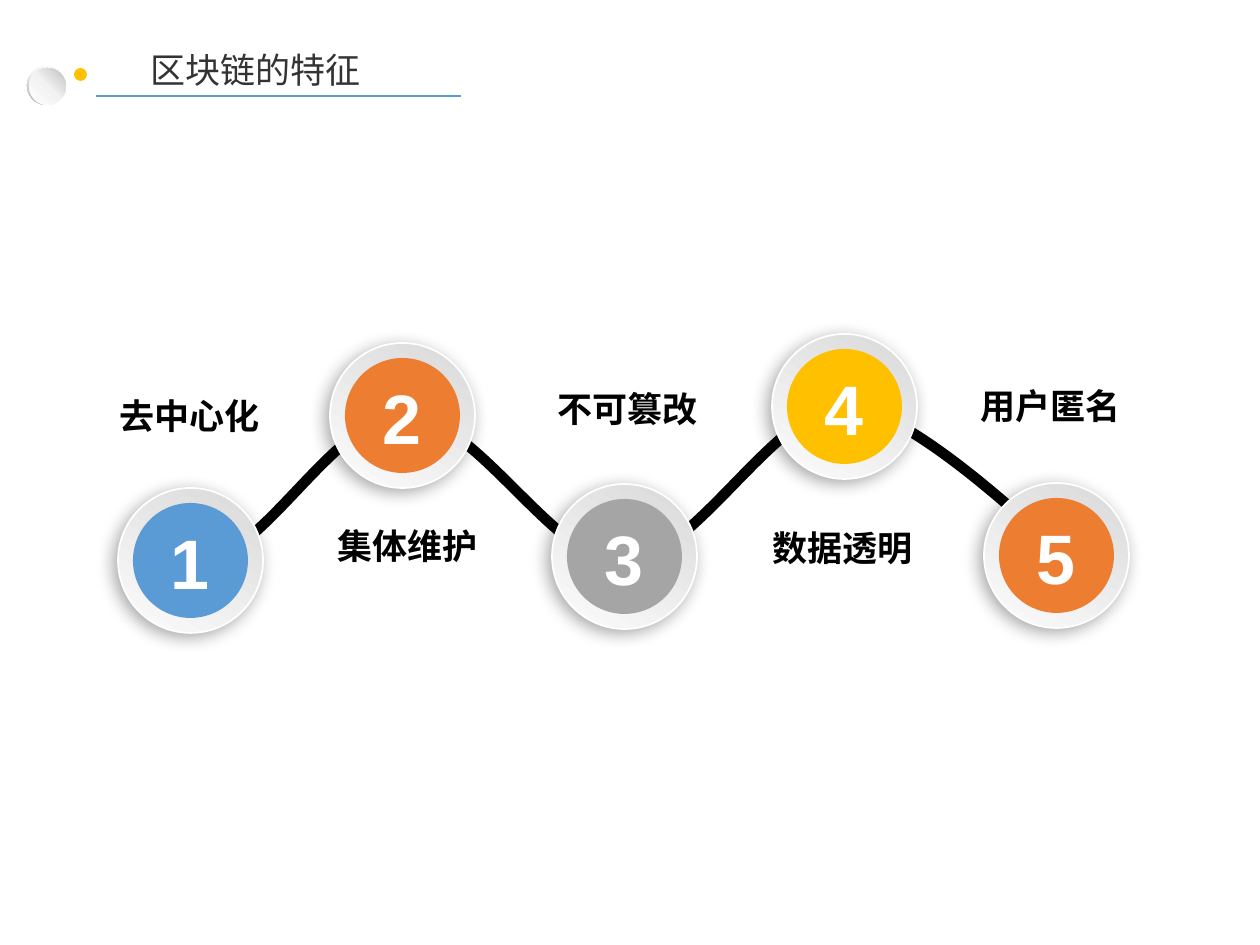
from lxml import etree
from pptx import Presentation
from pptx import util as u
from pptx.dml.color import RGBColor
from pptx.enum import shapes, text
from pptx.oxml.ns import qn

PX = 914400 / 126
BLACK = RGBColor(0x00, 0x00, 0x00)
WHITE = RGBColor(0xFF, 0xFF, 0xFF)
BLUE = RGBColor(0x5B, 0x9B, 0xD5)
ORANGE = RGBColor(0xED, 0x7D, 0x31)
GRAY = RGBColor(0xA5, 0xA5, 0xA5)
GOLD = RGBColor(0xFF, 0xC0, 0x00)
CHARCOAL = RGBColor(0x33, 0x33, 0x33)
SILVER = RGBColor(0xD9, 0xD9, 0xD9)
PEARL = RGBColor(0xFC, 0xFC, 0xFC)
MIST = RGBColor(0xF2, 0xF2, 0xF2)
STEEL = RGBColor(0xA6, 0xA6, 0xA6)
ASH = RGBColor(0xBF, 0xBF, 0xBF)

CJK = "Noto Sans CJK SC"
TITLE_FONT = dict(size=u.Pt(20), name=CJK, bold=False)
LABEL_FONT = dict(size=u.Pt(20), name="Arial", bold=True)
NUMBER_FONT = dict(size=u.Pt(40), name="Arial", bold=True)

DISC, CORE = 145, 115
LABEL_WIDTH, LABEL_HEIGHT = 247, 55
FEATURES = [
    ("去中心化", BLUE, (118, 488), (66, 388)),
    ("集体维护", ORANGE, (330, 343), (284, 518)),
    ("不可篡改", GRAY, (552, 484), (504, 381)),
    ("数据透明", GOLD, (772, 334), (719, 520)),
    ("用户匿名", ORANGE, (984, 483), (927, 378)),
]
WAVE = [(197, 562), (262, 562), (334, 415), (404, 415),
        (475, 415), (554, 562), (622, 563),
        (694, 561), (774, 408), (844, 406),
        (912, 406), (1060, 554), (1060, 552)]


def px(*lengths):
    return [u.Emu(round(length * PX)) for length in lengths]


def write(box, words, font, color, wrap=True):
    frame = box.text_frame
    frame.word_wrap = wrap
    frame.auto_size = text.MSO_AUTO_SIZE.SHAPE_TO_FIT_TEXT
    frame.vertical_anchor = text.MSO_ANCHOR.TOP
    paragraph = frame.paragraphs[0]
    paragraph.alignment = text.PP_ALIGN.CENTER
    run = paragraph.add_run()
    run.text = words
    for key, value in font.items():
        setattr(run.font, key, value)
    run.font.color.rgb = color
    east_asian = etree.SubElement(run.font._element, qn("a:ea"))
    east_asian.set("typeface", CJK)


def gradient(fill, holder, stops, angle):
    fill.gradient()
    blend = holder.find(qn("a:gradFill"))
    for old in list(blend):
        blend.remove(old)
    stop_list = etree.SubElement(blend, qn("a:gsLst"))
    for position, color in stops:
        stop = etree.SubElement(stop_list, qn("a:gs"), pos=str(position * 1000))
        etree.SubElement(stop, qn("a:srgbClr"), val=str(color))
    etree.SubElement(blend, qn("a:lin"), ang=str(angle * 60000), scaled="0")


def add_round(parent, area, color=None, stops=None, angle=0,
              kind=shapes.MSO_SHAPE.OVAL):
    item = parent.add_shape(kind, *px(*area))
    item.shadow.inherit = False
    item.line.fill.background()
    if stops:
        gradient(item.fill, item._element.spPr, stops, angle)
    else:
        item.fill.solid()
        item.fill.fore_color.rgb = color
    return item


def drop_shadow(item):
    effects = item._element.spPr.find(qn("a:effectLst"))
    shadow = etree.SubElement(
        effects, qn("a:outerShdw"), blurRad=str(int(u.Pt(10))),
        dist=str(int(u.Pt(3))), dir=str(136 * 60000), algn="ctr",
        rotWithShape="0")
    tone = etree.SubElement(shadow, qn("a:srgbClr"), val=str(BLACK))
    etree.SubElement(tone, qn("a:alpha"), val="34000")


def add_wave(slide):
    builder = slide.shapes.build_freeform(*WAVE[0], scale=PX)
    builder.add_line_segments(WAVE[1:], close=False)
    wave = builder.convert_to_shape()
    wave.shadow.inherit = False
    wave.fill.background()
    wave.line.color.rgb = BLACK
    wave.line.width = u.Pt(6)
    outline = next(wave._element.iter(qn("a:path")))
    segments = outline.findall(qn("a:lnTo"))
    for first in range(0, len(segments), 3):
        curve = etree.SubElement(outline, qn("a:cubicBezTo"))
        for segment in segments[first:first + 3]:
            curve.append(segment[0])
            outline.remove(segment)


def add_badge(slide, number, color, left, top):
    badge = slide.shapes.add_group_shape().shapes
    disc = add_round(badge, (left, top, DISC, DISC),
                     stops=[(0, SILVER), (100, PEARL)], angle=120)
    disc.line.width = u.Pt(1)
    gradient(disc.line.fill, disc._element.spPr.find(qn("a:ln")),
             [(0, SILVER), (50, WHITE), (100, WHITE)], 120)
    drop_shadow(disc)
    inset = (DISC - CORE) // 2
    add_round(badge, (left + inset, top + inset, CORE, CORE), color)
    digit = badge.add_textbox(*px(left + 38, top + 25, 68, 97))
    write(digit, str(number), NUMBER_FONT, WHITE, wrap=False)


def add_label(slide, words, left, top):
    label = slide.shapes.add_textbox(*px(left, top, LABEL_WIDTH, LABEL_HEIGHT))
    write(label, words, LABEL_FONT, BLACK)


def add_heading(slide):
    pearl = slide.shapes.add_group_shape().shapes
    ring = add_round(pearl, (27, 66, 39, 39),
                     stops=[(0, WHITE), (55, MIST), (100, STEEL)], angle=135,
                     kind=shapes.MSO_SHAPE.DONUT)
    ring.adjustments[0] = 0.05
    add_round(pearl, (29, 68, 37, 37),
              stops=[(0, WHITE), (51, MIST), (100, ASH)], angle=315)
    add_round(slide.shapes, (74, 68, 13, 13), GOLD)

    title = slide.shapes.title
    area = zip(("left", "top", "width", "height"), px(103, 42, 305, 55))
    for side, length in area:
        setattr(title, side, length)
    write(title, "区块链的特征", TITLE_FONT, CHARCOAL)

    rule = slide.shapes.add_connector(
        shapes.MSO_CONNECTOR.STRAIGHT, *px(96, 96, 461, 96))
    rule.line.color.rgb = BLUE
    rule.line.width = u.Pt(1.5)
    etree.SubElement(rule._element.spPr, qn("a:effectLst"))


def main():
    deck = Presentation()
    deck.slide_width, deck.slide_height = px(1260, 945)
    slide = deck.slides.add_slide(deck.slide_layouts[5])
    add_wave(slide)
    for number, (_, color, place, _) in enumerate(FEATURES, 1):
        add_badge(slide, number, color, *place)
    for words, _, _, place in FEATURES:
        add_label(slide, words, *place)
    add_heading(slide)
    deck.save("out.pptx")


if __name__ == "__main__":
    main()
